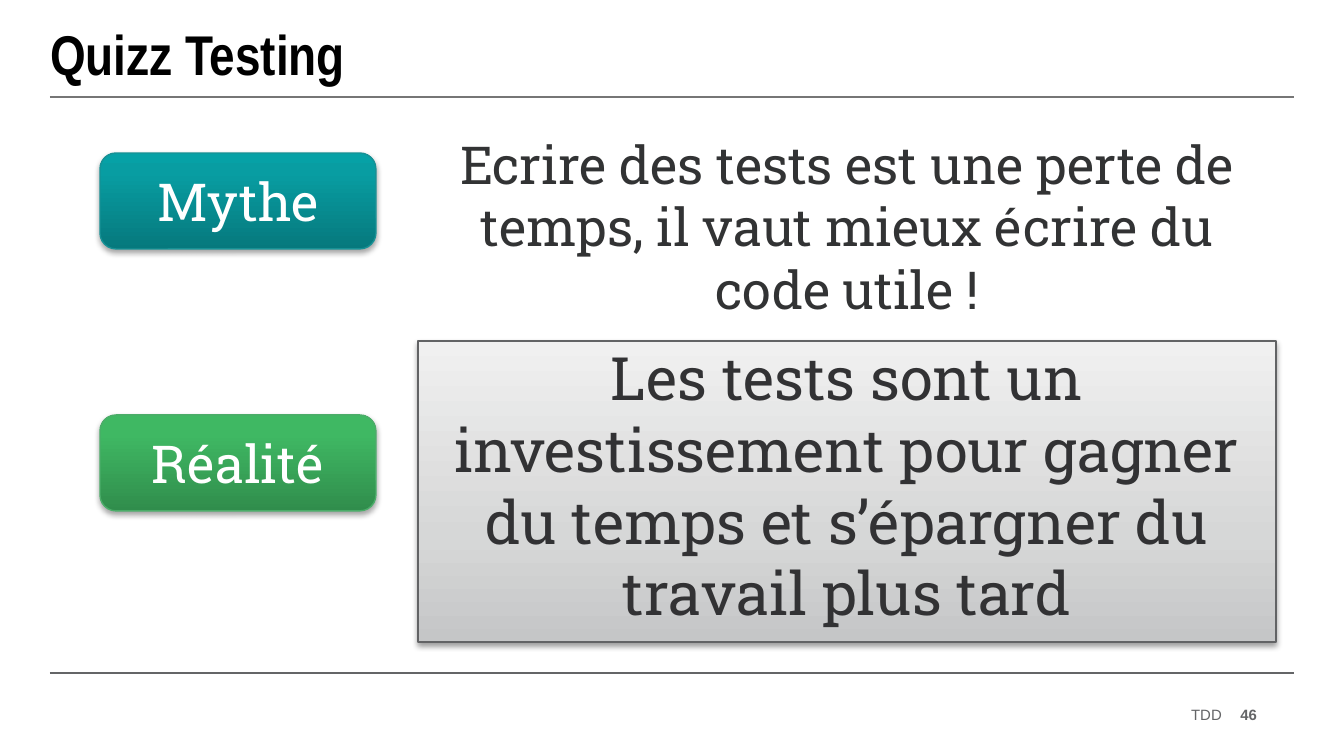
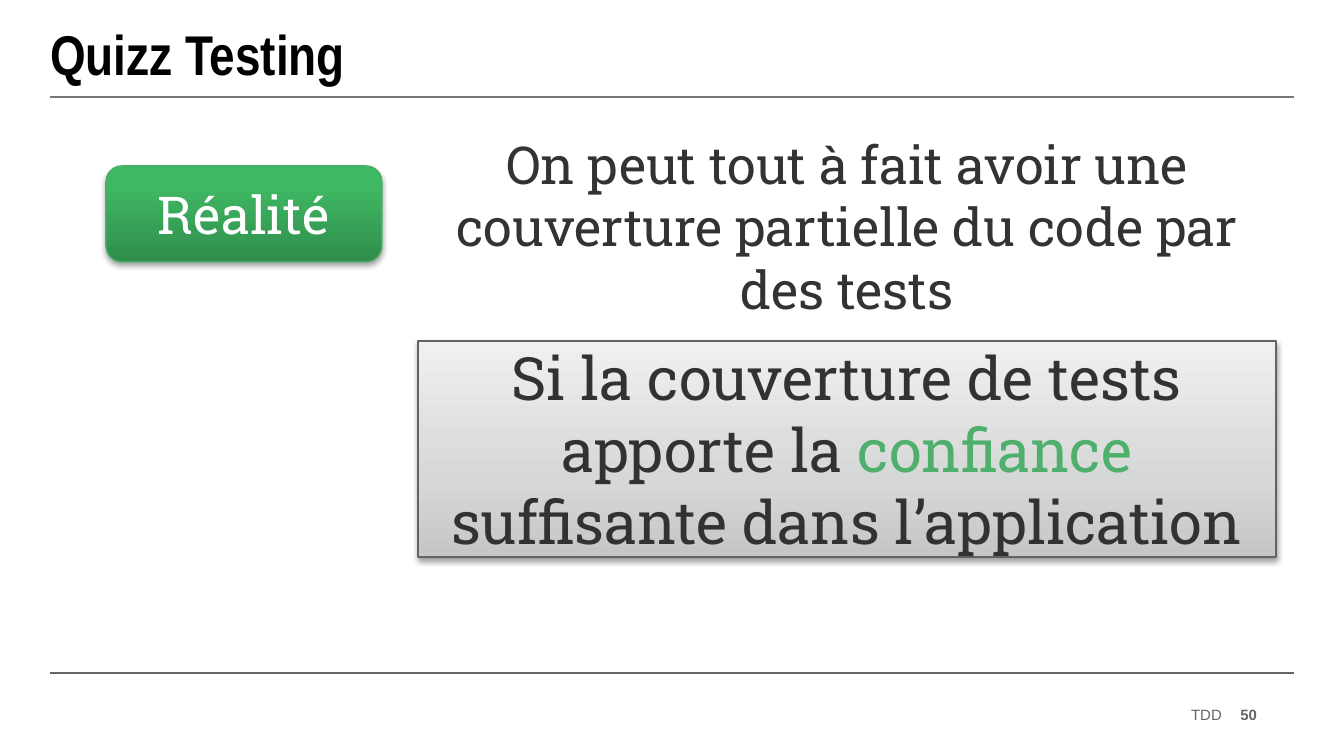
from lxml import etree
from pptx import Presentation
from pptx.dml.color import RGBColor
from pptx.enum.shapes import MSO_CONNECTOR, MSO_SHAPE
from pptx.enum.text import MSO_ANCHOR, MSO_AUTO_SIZE, PP_ALIGN
from pptx.oxml.ns import qn
from pptx.util import Pt

LEFT, CENTER, RIGHT = PP_ALIGN.LEFT, PP_ALIGN.CENTER, PP_ALIGN.RIGHT
TOP, MIDDLE = MSO_ANCHOR.TOP, MSO_ANCHOR.MIDDLE
RECT, ROUNDED = MSO_SHAPE.RECTANGLE, MSO_SHAPE.ROUNDED_RECTANGLE
STRAIGHT = MSO_CONNECTOR.STRAIGHT
NO_FIT = MSO_AUTO_SIZE.NONE

PX = 914400 / 134.4
SLAB = "Roboto Slab"
COLORS = {
    "title": "000000", "text": "323334", "answer": "323234", "white": "FFFFFF",
    "accent": "4FAF6C", "footer": "646567", "title rule": "767676",
}

# Panel styles: gradient stops from bottom to top, outline, shadow opacity and distance
STYLES = {
    "Mythe": ([(0, "06797D"), (80, "089DA2"), (100, "06A1A6")], "179195", 35, 1.8),
    "Réalité": ([(0, "308D4C"), (80, "3FB863"), (100, "3DBB63")], "4BAD69", 35, 1.8),
    "answer": ([(0, "C5C6C7"), (35, "D6D7D7"), (100, "F0F0F0")], "626365", 38, 1.6),
}

# Badges are (label, left, top); answers are (text, colour) runs
SLIDES = [
    {
        "number": "46",
        "statement": "Ecrire des tests est une perte de temps, il vaut mieux écrire du code utile !",
        "answer": [("Les tests sont un investissement pour gagner du temps "
                    "et s’épargner du travail plus tard", "answer")],
        "answer height": 301,
        "badges": [("Mythe", 100, 153), ("Réalité", 100, 415)],
    },
    {
        "number": "50",
        "statement": "On peut tout à fait avoir une couverture partielle du code par des tests",
        "answer": [("Si la couverture de tests apporte la ", "answer"),
                   ("confiance", "accent"),
                   (" suffisante dans l’application", "answer")],
        "answer height": 216,
        "badges": [("Réalité", 106, 166)],
    },
]


def write(shape, runs, size, font, align, anchor=MIDDLE, bold=False, margins=(0, 0), wrap=True):
    frame = shape.text_frame
    frame.auto_size = NO_FIT
    frame.word_wrap = wrap
    frame.vertical_anchor = anchor
    frame.margin_left = frame.margin_right = round(margins[0] * PX)
    frame.margin_top = frame.margin_bottom = round(margins[1] * PX)
    paragraph = frame.paragraphs[0]
    paragraph.alignment = align
    paragraph.font.size = Pt(size)
    paragraph.font.name = font
    paragraph.font.bold = bold
    for text, color in runs:
        run = paragraph.add_run()
        run.text = text
        run.font.color.rgb = RGBColor.from_string(COLORS[color])


def add_panel(slide, kind, box, style):
    stops, outline, opacity, distance = STYLES[style]
    panel = slide.shapes.add_shape(kind, *[round(v * PX) for v in box])
    panel.line.color.rgb = RGBColor.from_string(outline)
    panel.line.width = Pt(0.75)
    panel.fill.gradient()
    panel.fill.gradient_angle = 90
    properties = panel._element.spPr
    stop_list = properties.find(".//" + qn("a:gsLst"))
    for old_stop in list(stop_list):
        stop_list.remove(old_stop)
    for position, color in stops:
        stop = etree.SubElement(stop_list, qn("a:gs"), pos=str(position * 1000))
        etree.SubElement(stop, qn("a:srgbClr"), val=color)
    panel.shadow.inherit = False
    shadow = etree.SubElement(
        properties.find(qn("a:effectLst")), qn("a:outerShdw"), blurRad=str(Pt(3.1)),
        dist=str(Pt(distance)), dir="5400000", rotWithShape="0")
    shade = etree.SubElement(shadow, qn("a:srgbClr"), val="000000")
    etree.SubElement(shade, qn("a:alpha"), val=str(opacity * 1000))
    return panel


prs = Presentation()
prs.slide_width, prs.slide_height = round(1344 * PX), round(756 * PX)

for content in SLIDES:
    slide = prs.slides.add_slide(prs.slide_layouts[5])

    # Rules under the title and above the footer
    for y, color in ((97, "title rule"), (673, "footer")):
        rule = slide.shapes.add_connector(
            STRAIGHT, *[round(v * PX) for v in (50, y, 1294, y)])
        rule.line.color.rgb = RGBColor.from_string(COLORS[color])
        rule.line.width = Pt(1)
        etree.SubElement(rule._element.spPr, qn("a:effectLst"))

    # Title
    title = slide.shapes.title
    title.left, title.top, title.width, title.height = [
        round(v * PX) for v in (50, 12, 1243, 82)]
    write(title, [("Quizz Testing", "title")], 30, "Arial Narrow", LEFT, bold=True)

    # Footer: course name and page number
    for text, left, width, bold in (("TDD", 926, 296, False),
                                    (content["number"], 1230, 27, True)):
        footer = slide.shapes.add_textbox(*[round(v * PX) for v in (left, 705, width, 20)])
        write(footer, [(text, "footer")], 8, "Arial", RIGHT, bold=bold, wrap=False)

    # Statement and its answer
    statement = slide.shapes.add_textbox(*[round(v * PX) for v in (418, 125, 858, 527)])
    write(statement, [(content["statement"], "text")], 28, SLAB, CENTER, TOP, margins=(13, 7))
    answer = add_panel(slide, RECT, (418, 341, 858, content["answer height"]), "answer")
    write(answer, content["answer"], 32, SLAB, CENTER, TOP)

    # Badges
    for label, left, top in content["badges"]:
        badge = add_panel(slide, ROUNDED, (left, top, 276, 96), label)
        write(badge, [(label, "white")], 28, SLAB, CENTER, margins=(13, 13))

prs.save("out.pptx")
